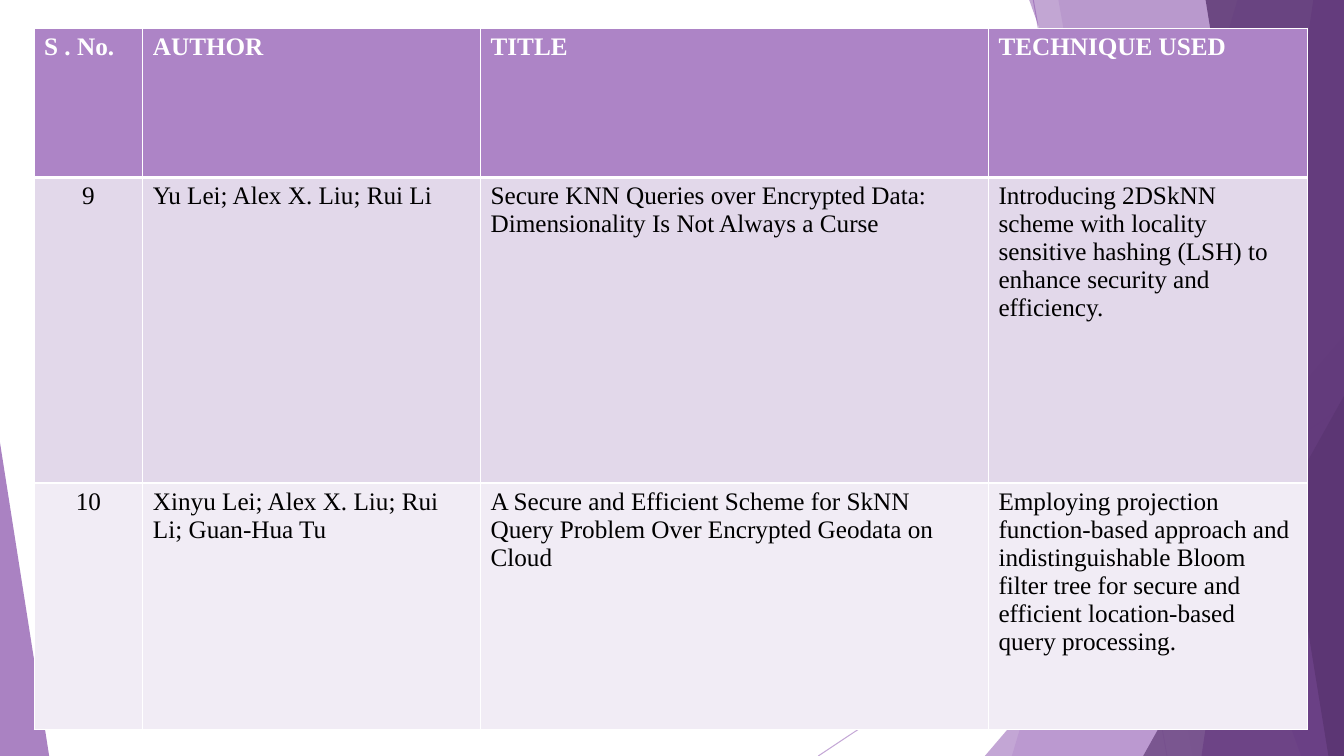
import pptx
import pptx.dml.color
import pptx.enum.shapes
import pptx.enum.text
import pptx.oxml
import pptx.oxml.ns
import pptx.util
from pptx.util import Cm

WIDTH, HEIGHT = 33.87, 19.05
LILAC, PURPLE, PLUM, WHITE = "AD84C6", "864EA9", "593470", "FFFFFF"
ROW_FILLS = [LILAC, "E2D8EA", "F1ECF5"]
COLUMN_WIDTHS = [2.74, 8.51, 12.8, 8.03]
ROW_HEIGHTS = [3.76, 7.7, 6.22]
ROWS = [
    ["S . No.", "AUTHOR", "TITLE", "TECHNIQUE USED"],
    ["9", "Yu Lei; Alex X. Liu; Rui Li",
     "Secure KNN Queries over Encrypted Data: Dimensionality Is Not Always a Curse",
     "Introducing 2DSkNN scheme with locality sensitive hashing (LSH) "
     "to enhance security and efficiency."],
    ["10", "Xinyu Lei; Alex X. Liu; Rui Li; Guan-Hua Tu",
     "A Secure and Efficient Scheme for SkNN Query Problem Over Encrypted Geodata on Cloud",
     "Employing projection function-based approach and indistinguishable Bloom "
     "filter tree for secure and efficient location-based query processing."],
]


def color(value):
    return pptx.dml.color.RGBColor.from_string(value)


def set_opacity(shape, percent):
    for element in shape.element.spPr.iter(pptx.oxml.ns.qn("a:srgbClr")):
        alpha = pptx.oxml.parse_xml(
            f'<a:alpha {pptx.oxml.ns.nsdecls("a")} val="{percent * 1000}"/>')
        element.append(alpha)


def paint(shape, fill, opacity):
    shape.shadow.inherit = False
    shape.fill.solid()
    shape.fill.fore_color.rgb = color(fill)
    shape.line.fill.background()
    set_opacity(shape, opacity)


def add_ray(slide, start, end):
    connector = slide.shapes.add_connector(
        pptx.enum.shapes.MSO_CONNECTOR.STRAIGHT, *map(Cm, start + end))
    connector.line.color.rgb = color(LILAC)
    connector.line.width = pptx.util.Pt(0.75)
    set_opacity(connector, 70)
    connector.element.spPr.append(
        pptx.oxml.parse_xml(f'<a:effectLst {pptx.oxml.ns.nsdecls("a")}/>'))


def add_band(slide, top_left, bottom_left, fill, opacity):
    builder = slide.shapes.build_freeform(Cm(top_left), Cm(-0.02))
    corners = [(WIDTH, -0.02), (WIDTH, HEIGHT), (bottom_left, HEIGHT)]
    builder.add_line_segments([(Cm(x), Cm(y)) for x, y in corners])
    paint(builder.convert_to_shape(), fill, opacity)


def add_triangle(slide, left, top, width, apex, fill, opacity):
    shape = slide.shapes.add_shape(
        pptx.enum.shapes.MSO_SHAPE.ISOSCELES_TRIANGLE,
        Cm(left), Cm(top), Cm(width), Cm(HEIGHT - top))
    shape.adjustments[0] = apex
    paint(shape, fill, opacity)


def set_borders(cell, top, bottom):
    properties = cell._tc.get_or_add_tcPr()
    for side, points in zip("LRTB", (1, 1, top, bottom)):
        properties.append(pptx.oxml.parse_xml(
            f'<a:ln{side} {pptx.oxml.ns.nsdecls("a")} w="{points * 12700}">'
            f'<a:solidFill><a:srgbClr val="{WHITE}"/></a:solidFill></a:ln{side}>'))


def fill_cell(cell, text, row, column):
    set_borders(cell, 3 if row == 1 else 1, 3 if row == 0 else 1)
    cell.fill.solid()
    cell.fill.fore_color.rgb = color(ROW_FILLS[row])
    cell.text = text
    paragraph = cell.text_frame.paragraphs[0]
    paragraph.font.name = "Times New Roman"
    paragraph.font.size = pptx.util.Pt(18)
    paragraph.font.bold = row == 0
    paragraph.font.color.rgb = color("000000" if row else WHITE)
    if row and column == 0:
        paragraph.alignment = pptx.enum.text.PP_ALIGN.CENTER


def add_survey_table(slide):
    table = slide.shapes.add_table(
        len(ROWS), len(COLUMN_WIDTHS), Cm(0.86), Cm(0.71),
        Cm(sum(COLUMN_WIDTHS)), Cm(sum(ROW_HEIGHTS))).table
    table.horz_banding = False
    for column, width in zip(table.columns, COLUMN_WIDTHS):
        column.width = Cm(width)
    for row, height in zip(table.rows, ROW_HEIGHTS):
        row.height = Cm(height)
    for row, texts in enumerate(ROWS):
        for column, text in enumerate(texts):
            fill_cell(table.cell(row, column), text, row, column)


def main():
    presentation = pptx.Presentation()
    presentation.slide_width = Cm(WIDTH)
    presentation.slide_height = Cm(HEIGHT)
    slide = presentation.slides.add_slide(presentation.slide_layouts[6])
    add_ray(slide, (26.04, 0), (29.41, HEIGHT))
    add_ray(slide, (WIDTH, 10.24), (20.62, HEIGHT))
    add_band(slide, 31.19, 25.5, LILAC, 36)
    add_band(slide, 26.67, 30.05, LILAC, 20)
    add_triangle(slide, 24.82, 8.46, 9.05, 1, LILAC, 72)
    add_band(slide, 25.93, 32.79, PURPLE, 50)
    add_band(slide, 33.1, 30.28, PURPLE, 70)
    add_band(slide, 30.38, 33.48, PLUM, 80)
    add_triangle(slide, 28.81, 9.98, 5.06, 1, PLUM, 66)
    add_triangle(slide, 0, 11.15, 1.24, 0, PURPLE, 70)
    add_survey_table(slide)
    presentation.save("out.pptx")


if __name__ == "__main__":
    main()
